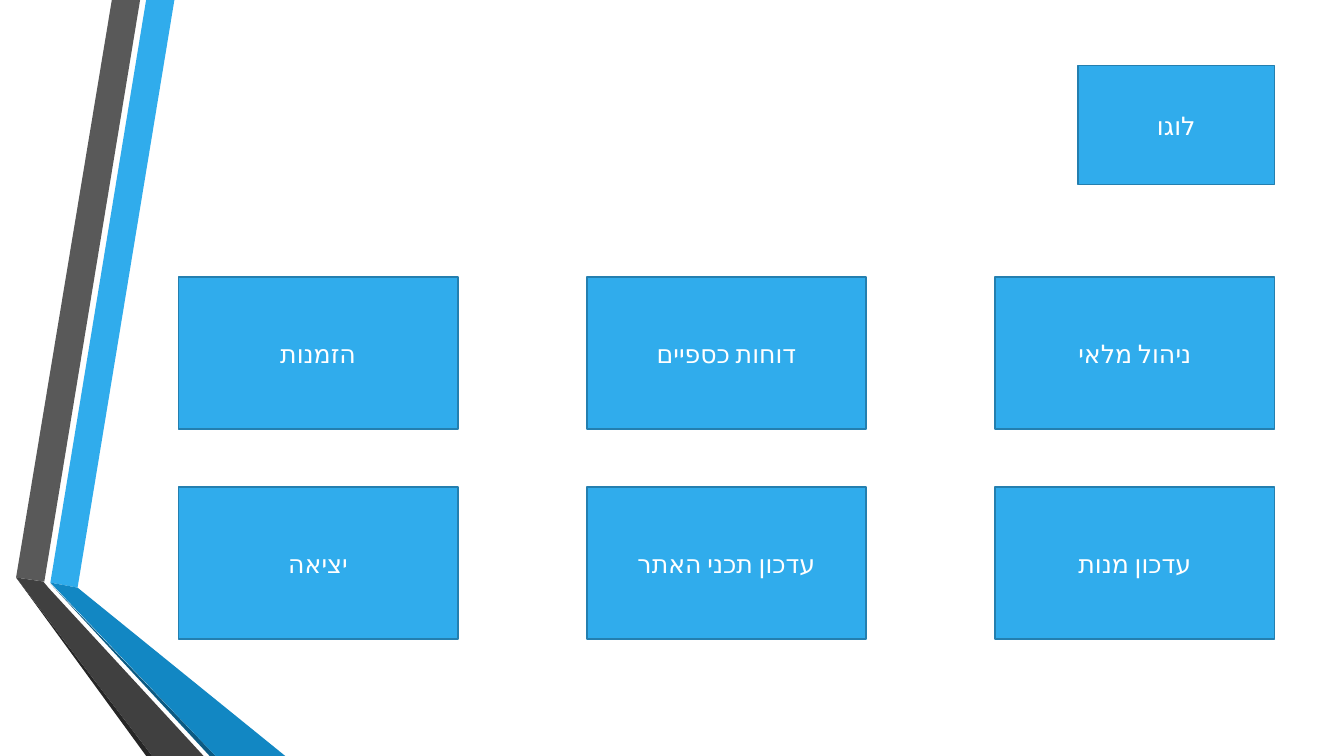
from pptx import Presentation
from pptx.dml.color import RGBColor
from pptx.enum import shapes, text
from pptx.oxml import ns
from pptx.util import Inches, Pt
from lxml import etree

COLORS = {
    "blue": "30ACEC", "outline": "247FAF", "white": "FFFFFF",
    "deep_blue": "1287C3", "blue_edge": "0C5A82",
    "gray": "595959", "dark_gray": "404040", "gray_edge": "262626",
}
BUTTON_FONT = {"name": "Cabin", "size": Pt(18)}
FRAME = {"word_wrap": True, "vertical_anchor": text.MSO_ANCHOR.MIDDLE}


def add_band(page, color, points):
    """Draw one closed, unlined polygon from points in inches."""
    corners = [(Inches(x), Inches(y)) for x, y in points]
    builder = page.shapes.build_freeform(*corners[0])
    builder.add_line_segments(corners[1:], close=True)
    band = builder.convert_to_shape()
    band.shadow.inherit = False
    band.fill.solid()
    band.fill.fore_color.rgb = RGBColor.from_string(COLORS[color])
    band.line.fill.background()


def add_button(page, label, left, top, width, height):
    """Draw one rectangle with a centred right-to-left label."""
    box = page.shapes.add_shape(
        shapes.MSO_SHAPE.RECTANGLE, *map(Inches, (left, top, width, height)))
    box.shadow.inherit = False
    box.fill.solid()
    box.fill.fore_color.rgb = RGBColor.from_string(COLORS["blue"])
    box.line.color.rgb = RGBColor.from_string(COLORS["outline"])
    box.line.width = Pt(1.25)
    for name, value in FRAME.items():
        setattr(box.text_frame, name, value)
    para = box.text_frame.paragraphs[0]
    para.alignment = text.PP_ALIGN.CENTER
    para._p.get_or_add_pPr().set("rtl", "1")
    span = para.add_run()
    span.text = label
    for name, value in BUTTON_FONT.items():
        setattr(span.font, name, value)
    span.font.color.rgb = RGBColor.from_string(COLORS["white"])
    span.font.language_id = None
    properties = span._r.get_or_add_rPr()
    properties.set("lang", "he-IL")
    hebrew = etree.SubElement(properties, ns.qn("a:cs"))
    hebrew.set("typeface", BUTTON_FONT["name"])


deck = Presentation()
deck.slide_width, deck.slide_height = Inches(13.33), Inches(7.5)
page = deck.slides.add_slide(deck.slide_layouts[6])

# Folded ribbons along the left edge
ribbons = [
    ("blue", [(0.5, 5.78), (0.77, 5.83), (1.73, 0), (1.45, 0)]),
    ("gray", [(1.39, 0), (1.11, 0), (0.16, 5.73), (0.44, 5.77)]),
    ("gray_edge", [(0.16, 5.73), (1.45, 7.5), (1.51, 7.5)]),
    ("blue_edge", [(0.5, 5.79), (2.08, 7.5), (2.14, 7.5)]),
    ("deep_blue", [(0.5, 5.78), (2.14, 7.5), (2.83, 7.5), (0.77, 5.83)]),
    ("dark_gray", [(0.16, 5.73), (1.51, 7.5), (2.02, 7.5), (0.48, 5.83),
                   (0.43, 5.77)]),
]
for color, points in ribbons:
    add_band(page, color, points)

add_button(page, "לוגו", 10.69, 0.65, 1.95, 1.18)

# Menu grid, columns listed from right to left
menu = [
    ["ניהול מלאי", "דוחות כספיים", "הזמנות"],
    ["עדכון מנות", "עדכון תכני האתר", "יציאה"],
]
for row, labels in enumerate(menu):
    for column, label in enumerate(labels):
        add_button(page, label, 9.87 - 4.05 * column, 2.75 + 2.08 * row, 2.77, 1.51)

deck.save("out.pptx")
